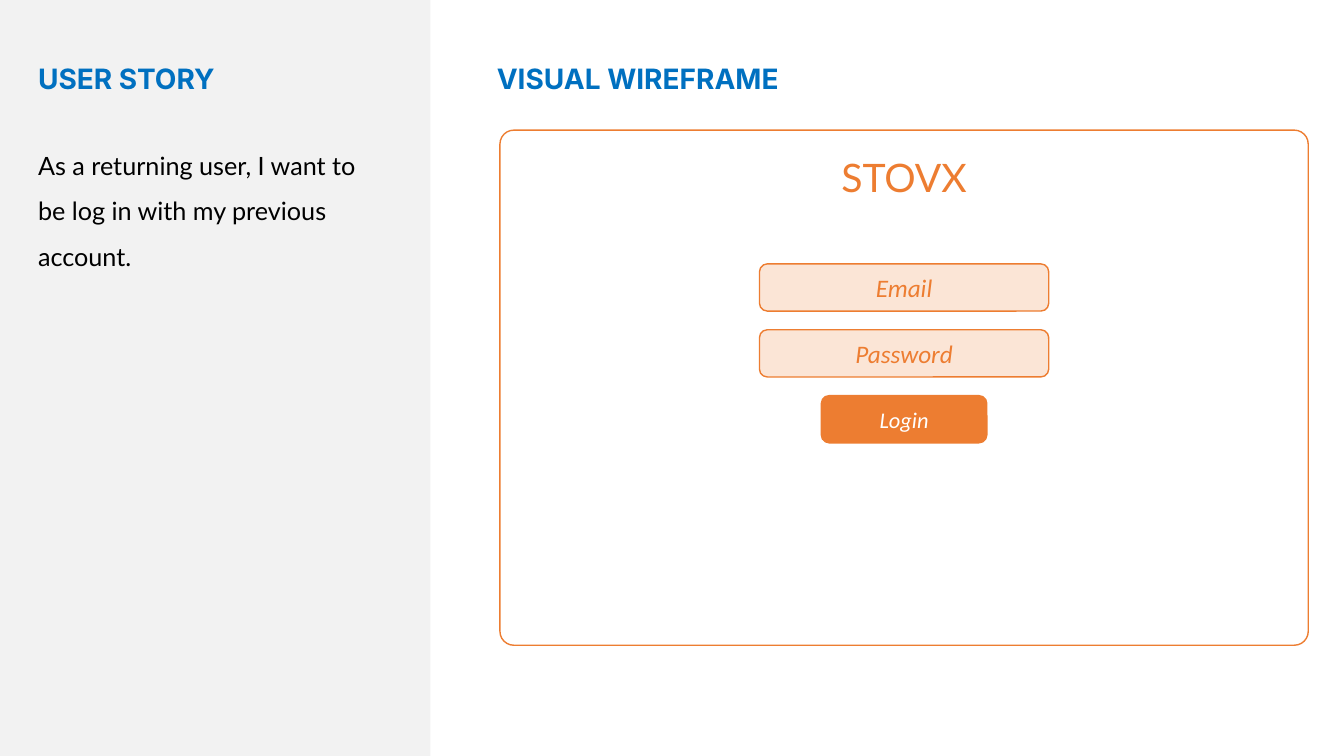
from dataclasses import dataclass

from pptx import Presentation
from pptx.dml.color import RGBColor
from pptx.enum.shapes import MSO_SHAPE
from pptx.enum.text import MSO_ANCHOR, MSO_AUTO_SIZE, PP_ALIGN
from pptx.util import Cm, Pt

RECT, ROUNDED = MSO_SHAPE.RECTANGLE, MSO_SHAPE.ROUNDED_RECTANGLE
LEFT, CENTER = PP_ALIGN.LEFT, PP_ALIGN.CENTER
MIDDLE = MSO_ANCHOR.MIDDLE
GROW = MSO_AUTO_SIZE.SHAPE_TO_FIT_TEXT


@dataclass(frozen=True)
class Theme:
    panel: str = "F2F2F2"
    heading: str = "0070C0"
    body: str = "000000"
    accent: str = "ED7D31"
    tint: str = "FBE5D6"
    white: str = "FFFFFF"
    heading_font: str = "Inter"
    body_font: str = "Lato"
    form_font: str = "Calibri"
    heading_size: int = 20
    body_size: int = 18
    brand_size: int = 28
    button_size: int = 16
    outline: int = 1


THEME = Theme()

STORY_HEADING = "USER STORY"
STORY = "As a returning user, I want to be log in with my previous account."
WIREFRAME_HEADING = "VISUAL WIREFRAME"
BRAND = "STOVX"
FORM = [
    ("Email", 7.29, THEME.tint, THEME.accent, THEME.body_size),
    ("Password", 7.29, THEME.tint, THEME.accent, THEME.body_size),
    ("Login", 4.17, THEME.accent, THEME.white, THEME.button_size),
]

SLIDE_W, SLIDE_H = 33.87, 19.05
PANEL_W = 10.85
STORY_LEFT, WIREFRAME_LEFT = 0.71, 12.27
HEADING_TOP, HEADING_W, HEADING_H = 1.42, 8.36, 1.12
SCREEN_LEFT, SCREEN_TOP, SCREEN_W, SCREEN_H = 12.6, 3.28, 20.37, 12.98
SCREEN_CENTER = SCREEN_LEFT + SCREEN_W / 2
BRAND_W = 7.75
FORM_TOP, FORM_STEP, FORM_H = 6.65, 1.66, 1.19


def write(frame, text, font, size, color, align=LEFT, **style):
    frame.word_wrap = True
    paragraph = frame.paragraphs[0]
    paragraph.text = text
    paragraph.alignment = align
    paragraph.font.name = font
    paragraph.font.size = Pt(size)
    paragraph.font.color.rgb = RGBColor.from_string(color)
    for attribute, value in style.items():
        setattr(paragraph.font, attribute, value)
    return paragraph


def add_label(slide, box, *text, **style):
    frame = slide.shapes.add_textbox(*map(Cm, box)).text_frame
    frame.auto_size = GROW
    return write(frame, *text, **style)


def add_box(slide, kind, box, fill, line=None):
    shape = slide.shapes.add_shape(kind, *map(Cm, box))
    shape.shadow.inherit = False
    shape.fill.solid()
    shape.fill.fore_color.rgb = RGBColor.from_string(fill)
    if line:
        shape.line.color.rgb = RGBColor.from_string(line)
        shape.line.width = Pt(THEME.outline)
    else:
        shape.line.fill.background()
    return shape


def main():
    deck = Presentation()
    deck.slide_width, deck.slide_height = Cm(SLIDE_W), Cm(SLIDE_H)
    slide = deck.slides.add_slide(deck.slide_layouts[6])

    add_box(slide, RECT, (0, 0, PANEL_W, SLIDE_H), THEME.panel)
    for left, heading in ((STORY_LEFT, STORY_HEADING), (WIREFRAME_LEFT, WIREFRAME_HEADING)):
        add_label(slide, (left, HEADING_TOP, HEADING_W, HEADING_H), heading,
                  THEME.heading_font, THEME.heading_size, THEME.heading, bold=True)
    story = add_label(slide, (STORY_LEFT, SCREEN_TOP, 8.84, 2.44), STORY,
                      THEME.body_font, THEME.body_size, THEME.body)
    story.line_spacing = 1.5

    screen = add_box(slide, ROUNDED, (SCREEN_LEFT, SCREEN_TOP, SCREEN_W, SCREEN_H),
                     THEME.white, THEME.accent)
    screen.adjustments[0] = 0.027
    add_label(slide, (SCREEN_CENTER - BRAND_W / 2, 3.73, BRAND_W, 1.45), BRAND,
              THEME.body_font, THEME.brand_size, THEME.accent, CENTER)

    for row, (label, width, fill, color, size) in enumerate(FORM):
        box = (SCREEN_CENTER - width / 2, FORM_TOP + row * FORM_STEP, width, FORM_H)
        control = add_box(slide, ROUNDED, box, fill, THEME.accent)
        control.text_frame.vertical_anchor = MIDDLE
        write(control.text_frame, label, THEME.form_font, size, color, CENTER, italic=True)

    deck.save("out.pptx")


if __name__ == "__main__":
    main()
